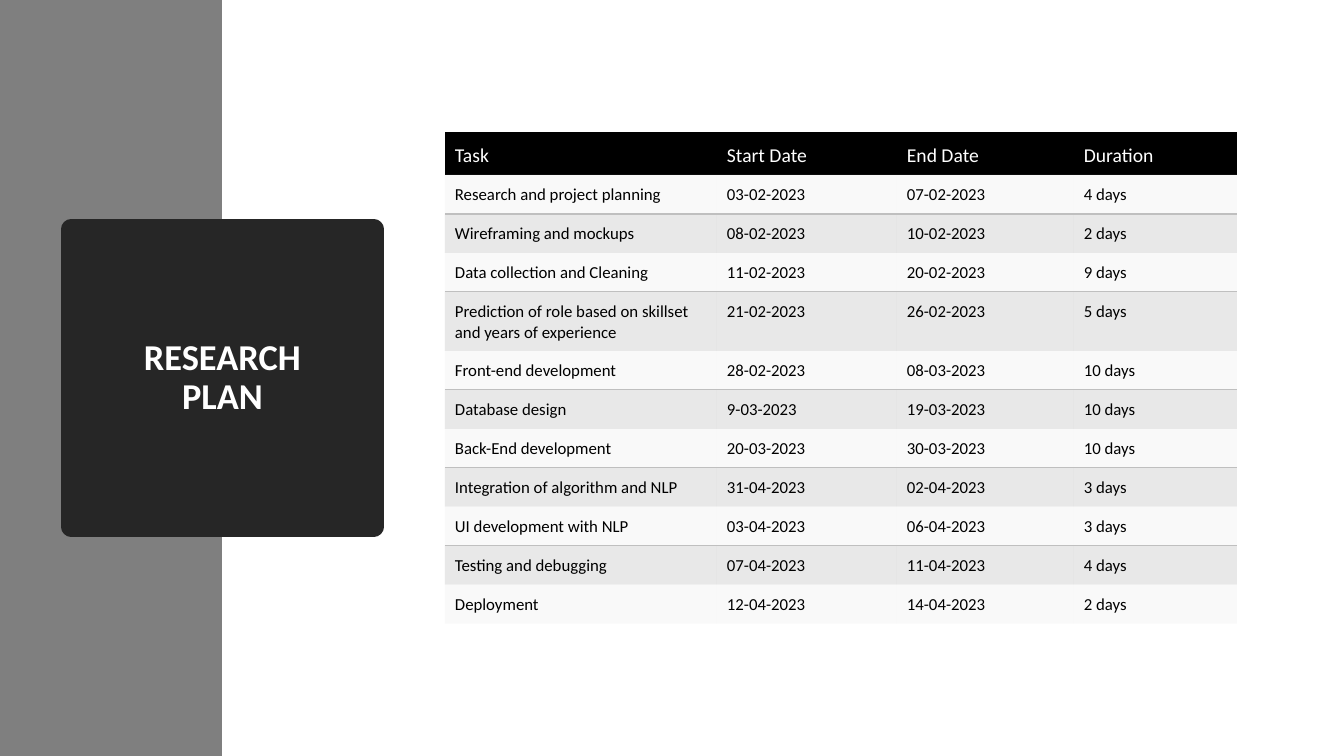
from dataclasses import dataclass
from typing import NamedTuple, Optional

from lxml import etree
from pptx import Presentation, util as u
from pptx.dml.color import RGBColor
from pptx.enum import shapes, text
from pptx.oxml import ns

PX_PER_INCH = 100.8


def px(count: int) -> u.Emu:
    return u.Emu(round(count * 914400 / PX_PER_INCH))


@dataclass(frozen=True)
class Theme:
    font: str = "Calibri"
    sidebar: str = "7F7F7F"
    panel: str = "262626"
    rule: str = "BFBFBF"
    light: str = "FFFFFF"
    dark: str = "000000"
    title_size: int = 26
    header_size: int = 14
    body_size: int = 12
    panel_line: float = 13.75
    rule_width: float = 1


class Box(NamedTuple):
    left: int
    top: int
    width: int
    height: int


class RowStyle(NamedTuple):
    fill: str
    opacity: int
    color: str
    size: int
    anchor: text.MSO_ANCHOR


class Task(NamedTuple):
    name: str
    start: str
    end: str
    duration: str


THEME = Theme()
SIDEBAR = Box(0, 0, 222, 756)
PANEL = Box(71, 229, 303, 298)
PLAN = Box(445, 132, 792, 492)
COLUMN_WIDTHS = (272, 180, 177, 163)
HEADER_HEIGHT, ROW_HEIGHT, TALL_ROW_HEIGHT = 43, 39, 59
ONE_LINE_LIMIT = 40
NO_TABLE_STYLE = "{2D5ABB26-0587-4C30-8999-92F81FD0307C}"

HEADER = RowStyle(THEME.dark, 100, THEME.light, THEME.header_size, text.MSO_ANCHOR.MIDDLE)
PALE = RowStyle("F2F2F2", 45, THEME.dark, THEME.body_size, text.MSO_ANCHOR.TOP)
SHADED = RowStyle("BFBFBF", 35, THEME.dark, THEME.body_size, text.MSO_ANCHOR.TOP)

TASKS = (
    Task("Task", "Start Date", "End Date", "Duration"),
    Task("Research and project planning", "03-02-2023", "07-02-2023", "4 days"),
    Task("Wireframing and mockups", "08-02-2023", "10-02-2023", "2 days"),
    Task("Data collection and Cleaning", "11-02-2023", "20-02-2023", "9 days"),
    Task("Prediction of role based on skillset and years of experience",
         "21-02-2023", "26-02-2023", "5 days"),
    Task("Front-end development", "28-02-2023", "08-03-2023", "10 days"),
    Task("Database design", "9-03-2023", "19-03-2023", "10 days"),
    Task("Back-End development", "20-03-2023", "30-03-2023", "10 days"),
    Task("Integration of algorithm and NLP", "31-04-2023", "02-04-2023", "3 days"),
    Task("UI development with NLP", "03-04-2023", "06-04-2023", "3 days"),
    Task("Testing and debugging", "07-04-2023", "11-04-2023", "4 days"),
    Task("Deployment", "12-04-2023", "14-04-2023", "2 days"),
)


def apply(target, **values) -> None:
    for name, value in values.items():
        setattr(target, name, value)


def set_font(font, size: int, color: str, bold: bool = False) -> None:
    apply(font, name=THEME.font, size=u.Pt(size), bold=bold)
    font.color.rgb = RGBColor.from_string(color)


def set_fill(fill, color: str) -> None:
    fill.solid()
    fill.fore_color.rgb = RGBColor.from_string(color)


def add_sidebar(slide) -> None:
    band = slide.shapes.add_shape(shapes.MSO_SHAPE.RECTANGLE, *map(px, SIDEBAR))
    band.shadow.inherit = False
    set_fill(band.fill, THEME.sidebar)
    band.line.fill.background()
    # Send the band behind the title panel
    slide.shapes.title.element.addprevious(band.element)


def format_title(title) -> None:
    apply(title, **{side: px(value) for side, value in PANEL._asdict().items()})
    set_fill(title.fill, THEME.panel)
    set_fill(title.line.fill, THEME.panel)
    title.line.width = u.Pt(THEME.panel_line)
    # Round joins give the panel its soft corners
    etree.SubElement(title.line.fill._xPr, ns.qn("a:round"))
    frame = title.text_frame
    frame.text = "RESEARCH\vPLAN"
    apply(frame, word_wrap=True, auto_size=text.MSO_AUTO_SIZE.NONE,
          vertical_anchor=text.MSO_ANCHOR.MIDDLE)
    heading = frame.paragraphs[0]
    apply(heading, alignment=text.PP_ALIGN.CENTER, line_spacing=0.9)
    set_font(heading.font, THEME.title_size, THEME.light, bold=True)
    for run in heading.runs:
        set_font(run.font, THEME.title_size, THEME.light, bold=True)


def set_borders(cell, ruled_side: Optional[str]) -> None:
    properties = cell._tc.get_or_add_tcPr()
    for position, side in enumerate("LRTB"):
        border = etree.Element(ns.qn(f"a:ln{side}"))
        if side == ruled_side:
            border.set("w", str(u.Pt(THEME.rule_width)))
            paint = etree.SubElement(border, ns.qn("a:solidFill"))
            etree.SubElement(paint, ns.qn("a:srgbClr"), val=THEME.rule)
        else:
            etree.SubElement(border, ns.qn("a:noFill"))
        properties.insert(position, border)


def format_cell(cell, words: str, style: RowStyle, ruled_side: Optional[str]) -> None:
    cell.text = words
    apply(cell, vertical_anchor=style.anchor, margin_left=px(10), margin_right=px(10),
          margin_top=px(10), margin_bottom=px(5))
    set_font(cell.text_frame.paragraphs[0].runs[0].font, style.size, style.color)
    set_fill(cell.fill, style.fill)
    if style.opacity < 100:
        color = cell._tc.tcPr.find(f".//{ns.qn('a:srgbClr')}")
        etree.SubElement(color, ns.qn("a:alpha"), val=str(style.opacity * 1000))
    set_borders(cell, ruled_side)


def add_plan(slide) -> None:
    plan = slide.shapes.add_table(len(TASKS), len(COLUMN_WIDTHS), *map(px, PLAN)).table
    plan.horz_banding = False
    plan._tbl.tblPr.find(ns.qn("a:tableStyleId")).text = NO_TABLE_STYLE
    for column, width in zip(plan.columns, COLUMN_WIDTHS):
        column.width = px(width)
    last = len(TASKS) - 1
    for index, (row, task) in enumerate(zip(plan.rows, TASKS)):
        # A rule runs between each pale row and the shaded row under it
        if index == 0:
            style, ruled_side, height = HEADER, None, HEADER_HEIGHT
        else:
            style, ruled_side = (PALE, "B") if index % 2 else (SHADED, "T")
            height = TALL_ROW_HEIGHT if len(task.name) > ONE_LINE_LIMIT else ROW_HEIGHT
        if index == last:
            ruled_side = None
        row.height = px(height)
        for cell, words in zip(row.cells, task):
            format_cell(cell, words, style, ruled_side)


def main() -> None:
    deck = Presentation()
    apply(deck, slide_width=px(1344), slide_height=px(756))
    slide = deck.slides.add_slide(deck.slide_layouts.get_by_name("Title Only"))
    # Left side: band and title panel
    add_sidebar(slide)
    format_title(slide.shapes.title)
    # Right side: schedule
    add_plan(slide)
    deck.save("out.pptx")


if __name__ == "__main__":
    main()
